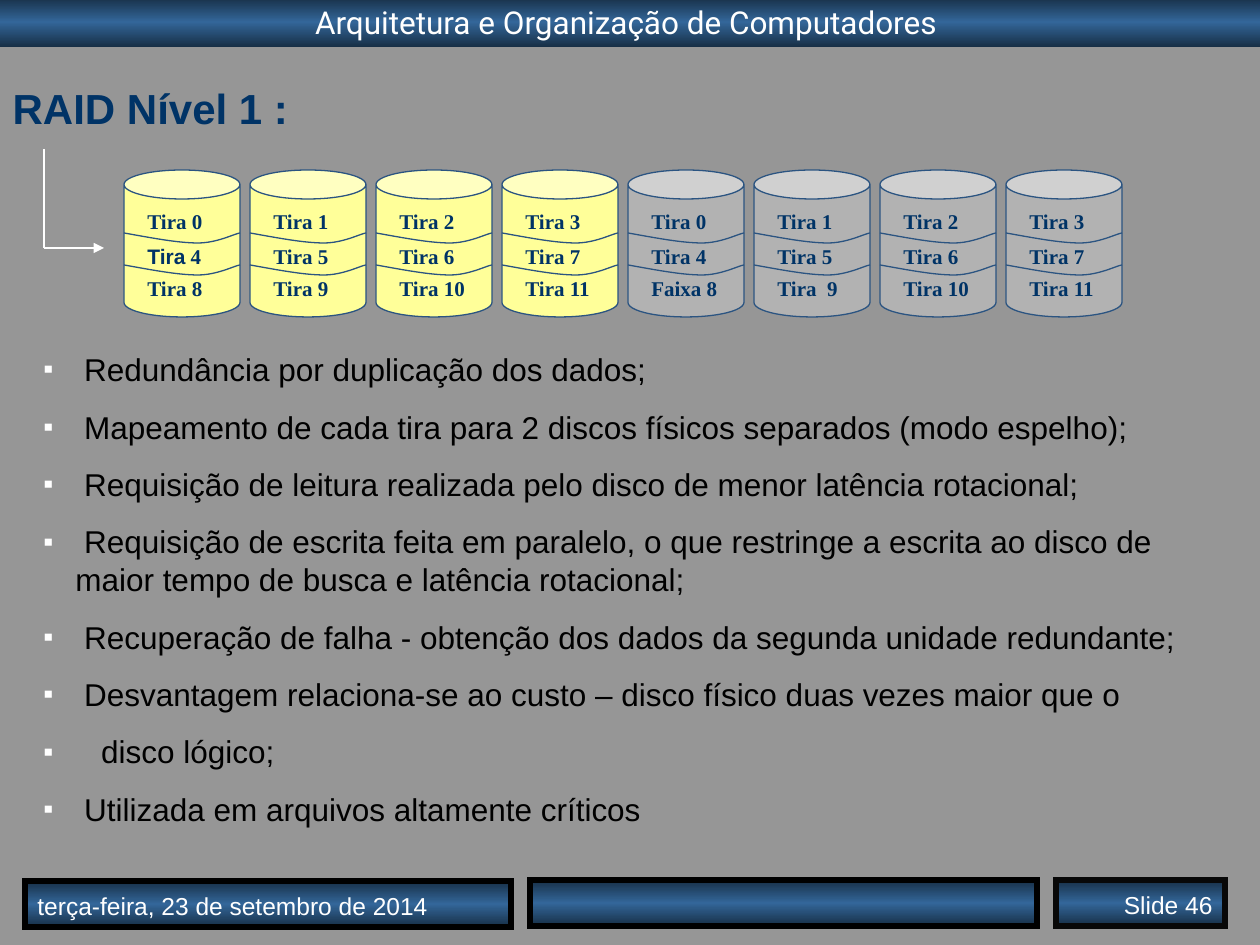
from lxml.etree import SubElement
from pptx import Presentation
from pptx.dml.color import RGBColor
from pptx.enum.shapes import MSO_CONNECTOR, MSO_SHAPE
from pptx.enum.text import MSO_ANCHOR as ANCHOR, MSO_AUTO_SIZE, PP_ALIGN as ALIGN
from pptx.oxml.ns import qn
from pptx.util import Pt

SCALE = 914400 / 126  # EMU per px

WHITE = RGBColor(0xFF, 0xFF, 0xFF)
BLACK = RGBColor(0, 0, 0)
SOFT_BLACK = RGBColor(0x08, 0x08, 0x08)
NAVY = RGBColor(0x00, 0x33, 0x66)
BAR_DARK = RGBColor(0x17, 0x2F, 0x46)
BAR_BLUE = RGBColor(0x33, 0x66, 0x99)
OUTLINE = RGBColor(0x2B, 0x54, 0x81)
YELLOW = RGBColor(0xFF, 0xFF, 0x99)
SILVER = RGBColor(0xB2, 0xB2, 0xB2)
GRAY = RGBColor(0x96, 0x96, 0x96)

# Content
HEADER = "Arquitetura e Organização de Computadores "
TITLE = "RAID Nível 1 :"
DISKS = [
    (YELLOW, ["Tira 0", [("Tira", "Arial"), (" 4", "Times New Roman")], "Tira 8"]),
    (YELLOW, ["Tira 1", "Tira 5", "Tira 9"]),
    (YELLOW, ["Tira 2", "Tira 6", "Tira 10"]),
    (YELLOW, ["Tira 3", "Tira 7", "Tira 11"]),
    (SILVER, ["Tira 0", "Tira 4", "Faixa 8"]),
    (SILVER, ["Tira 1", "Tira 5", "Tira  9"]),
    (SILVER, ["Tira 2", "Tira 6", "Tira 10"]),
    (SILVER, ["Tira 3", "Tira 7", "Tira 11"]),
]
BULLETS = [  # text, extra indent in px
    (" Redundância por duplicação dos dados;", 0),
    (" Mapeamento de cada tira para 2 discos físicos separados (modo espelho);", 0),
    (" Requisição de leitura realizada pelo disco de menor latência rotacional;", 0),
    (" Requisição de escrita feita em paralelo, o que restringe a escrita ao disco "
     "de maior tempo de busca e latência rotacional;", 0),
    (" Recuperação de falha - obtenção dos dados da segunda unidade redundante;", 0),
    (" Desvantagem relaciona-se ao custo – disco físico duas vezes maior que o", 0),
    (" disco lógico;", 17),
    (" Utilizada em arquivos altamente críticos", 0),
]
FOOTER = [  # text, box, outline, alignment
    ("terça-feira, 23 de setembro de 2014", (25, 881, 486, 46), BLACK, ALIGN.LEFT),
    ("", (530, 880, 507, 46), BLACK, ALIGN.LEFT),
    ("Slide 46", (1056, 880, 169, 46), SOFT_BLACK, ALIGN.RIGHT),
]

# Disk geometry
DISK_LEFT, DISK_TOP, DISK_PITCH, DISK_W, DISK_H = 124, 170, 126, 116, 147
WAVE_TOPS = (233, 265)
LABEL_TOPS = (202, 237, 269)
# Two Bézier segments of three points each, relative to the wave's left end
WAVE = [(28, 5), (54, 10), (74, 10), (93, 10), (110, 1), (116, 0)]


def px(*lengths):
    return [round(length * SCALE) for length in lengths]


def write(paragraph, text, font="Arial", size=18, color=WHITE, bold=False, align=ALIGN.LEFT):
    """Fill a paragraph with a string or a list of (text, font) runs."""
    paragraph.alignment = align
    for words, face in [(text, font)] if isinstance(text, str) else text:
        run = paragraph.add_run()
        run.text = words
        run.font.name, run.font.size, run.font.bold = face, Pt(size), bold
        run.font.color.rgb = color


def prepare_frame(shape, anchor=ANCHOR.TOP):
    frame = shape.text_frame
    frame.word_wrap = True
    frame.auto_size = MSO_AUTO_SIZE.NONE
    frame.vertical_anchor = anchor
    return frame


def add_bar(box, outline=None):
    bar = slide.shapes.add_shape(MSO_SHAPE.RECTANGLE, *px(*box))
    bar.shadow.inherit = False
    bar.fill.gradient()
    bar.fill.gradient_angle = 90
    stops = bar.fill._xPr.find(".//" + qn("a:gsLst"))
    for stop in list(stops):
        stops.remove(stop)
    for position, color in ((0, BAR_DARK), (50, BAR_BLUE), (100, BAR_DARK)):
        stop = SubElement(stops, qn("a:gs"), pos=str(position * 1000))
        SubElement(stop, qn("a:srgbClr"), val=str(color))
    if outline is None:
        bar.line.fill.background()
    else:
        bar.line.color.rgb, bar.line.width = outline, Pt(3)
        SubElement(bar.line._get_or_add_ln(), qn("a:miter"), lim="800000")
    return bar


def add_wave(left, top):
    builder = slide.shapes.build_freeform(*px(left, top))
    builder.add_line_segments([px(left + x, top + y) for x, y in WAVE], close=False)
    wave = builder.convert_to_shape()
    wave.fill.background()
    # Regroup each three points into one curve
    outline = wave._element.find(".//" + qn("a:path"))
    segments = outline.findall(qn("a:lnTo"))
    for start in range(0, len(segments), 3):
        curve = SubElement(outline, qn("a:cubicBezTo"))
        for segment in segments[start:start + 3]:
            curve.append(segment[0])
            outline.remove(segment)
    return wave


def add_disk(left, color, labels):
    can = slide.shapes.add_shape(MSO_SHAPE.CAN, *px(left, DISK_TOP, DISK_W, DISK_H))
    can.fill.solid()
    can.fill.fore_color.rgb = color
    for part in [can] + [add_wave(left, top) for top in WAVE_TOPS]:
        part.shadow.inherit = False
        part.line.color.rgb, part.line.width = OUTLINE, Pt(0.75)
    for top, label in zip(LABEL_TOPS, labels):
        box = slide.shapes.add_textbox(*px(left + 11, top, 92, 38))
        write(prepare_frame(box).paragraphs[0], label, font="Times New Roman", size=12,
              color=NAVY, bold=True)


def add_line(*ends, arrow=False):
    line = slide.shapes.add_connector(MSO_CONNECTOR.STRAIGHT, *px(*ends))
    line.line.color.rgb, line.line.width = WHITE, Pt(0.75)
    if arrow:
        SubElement(line.line._get_or_add_ln(), qn("a:tailEnd"), type="triangle")
    SubElement(line._element.spPr, qn("a:effectLst"))


def add_bullet(paragraph, extra_indent):
    properties = paragraph._p.get_or_add_pPr()
    margin, hanging = px(63 + extra_indent, -32 - extra_indent)
    properties.set("marL", str(margin))
    properties.set("indent", str(hanging))
    SubElement(SubElement(properties, qn("a:buClr")), qn("a:srgbClr"), val=str(WHITE))
    SubElement(properties, qn("a:buSzPct"), val="90000")
    SubElement(properties, qn("a:buFont"), typeface="Arial")
    SubElement(properties, qn("a:buChar"), char="▪")


presentation = Presentation()
presentation.slide_width, presentation.slide_height = px(1260, 945)
slide = presentation.slides.add_slide(presentation.slide_layouts[5])
slide.background.fill.solid()
slide.background.fill.fore_color.rgb = GRAY

# Header and footer bars
header = add_bar((0, -3, 1260, 50))
write(prepare_frame(header).paragraphs[0], HEADER, font="Roboto", align=ALIGN.CENTER)
for text, box, outline, align in FOOTER:
    bar = add_bar(box, outline)
    if text:
        write(prepare_frame(bar, ANCHOR.BOTTOM).paragraphs[0], text, size=14, align=align)

# Title
title = slide.shapes.title
title.left, title.top, title.width, title.height = px(0, 76, 323, 63)
write(prepare_frame(title).paragraphs[0], TITLE, size=24, color=NAVY, bold=True)

# Disk array and the arrow leading to it
for index, (color, labels) in enumerate(DISKS):
    add_disk(DISK_LEFT + index * DISK_PITCH, color, labels)
add_line(44, 149, 44, 248)
add_line(44, 248, 104, 248, arrow=True)

# Bullet list
body = prepare_frame(slide.shapes.add_textbox(*px(0, 344, 1235, 491)))
for index, (text, extra_indent) in enumerate(BULLETS):
    paragraph = body.add_paragraph() if index else body.paragraphs[0]
    add_bullet(paragraph, extra_indent)
    paragraph.space_before = Pt(11.2 if index else 0)
    write(paragraph, text, color=BLACK)

presentation.save("out.pptx")
